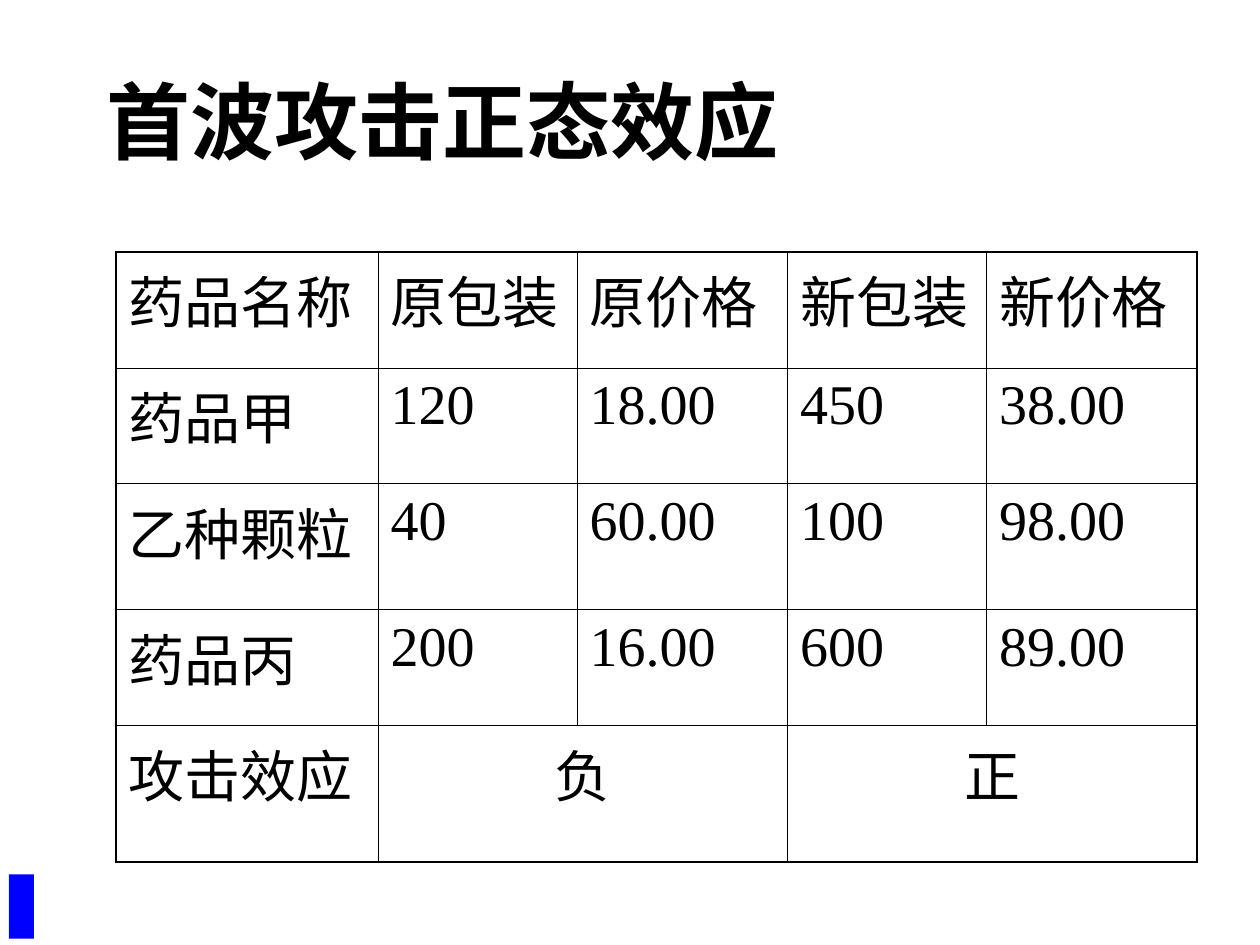
from dataclasses import dataclass

from lxml import etree
from pptx import Presentation
from pptx import util as u
from pptx.dml import color
from pptx.enum import shapes, text
from pptx.oxml import ns


@dataclass(frozen=True)
class Theme:
    ink: str = "000000"
    mark: str = "0000FF"
    font: str = "Times New Roman"
    title: float = 48
    body: float = 32
    thin: float = 0.45
    thick: float = 1.08


THEME = Theme()
COLS = [2.08, 1.58, 1.67, 1.58, 1.67]
ROWS = [0.92, 0.92, 1, 0.92, 1.08]
DATA = [
    ["药品名称", "原包装", "原价格", "新包装", "新价格"],
    ["药品甲", "120", "18.00", "450", "38.00"],
    ["乙种颗粒", "40", "60.00", "100", "98.00"],
    ["药品丙", "200", "16.00", "600", "89.00"],
    ["攻击效应", "负", "", "正", ""],
]


def write(frame, words, size=THEME.body, bold=False, align=text.PP_ALIGN.LEFT):
    para = frame.paragraphs[0]
    para.alignment = align
    run = para.add_run()
    run.text = words
    run.font.name = THEME.font
    run.font.size = u.Pt(size)
    run.font.bold = bold
    run.font.color.rgb = color.RGBColor.from_string(THEME.ink)


def add_title(slide, box, words):
    frame = slide.shapes.add_textbox(*map(u.Inches, box)).text_frame
    frame.word_wrap = True
    frame.vertical_anchor = text.MSO_ANCHOR.MIDDLE
    write(frame, words, size=THEME.title, bold=True)


def rule_cell(cell, outer):
    props = cell._tc.get_or_add_tcPr()
    for side, edge in outer.items():
        width = THEME.thick if edge else THEME.thin
        line = etree.SubElement(props, ns.qn(f"a:ln{side}"), w=str(u.Pt(width)))
        fill = etree.SubElement(line, ns.qn("a:solidFill"))
        etree.SubElement(fill, ns.qn("a:srgbClr"), val=THEME.ink)
    cell.fill.background()


def add_grid(slide, box):
    count, width = len(ROWS), len(COLS)
    table = slide.shapes.add_table(count, width, *map(u.Inches, box)).table
    table.first_row = table.horz_banding = False
    for col, size in zip(table.columns, COLS):
        col.width = u.Inches(size)
    for row, size in zip(table.rows, ROWS):
        row.height = u.Inches(size)
    last = count - 1
    for left in (1, 3):
        table.cell(last, left).merge(table.cell(last, left + 1))
    for r, line in enumerate(DATA):
        for c, words in enumerate(line):
            cell = table.cell(r, c)
            span = cell.span_width if cell.is_merge_origin else 1
            rule_cell(cell, {"L": c == 0, "R": c + span == width,
                             "T": r == 0, "B": r == last})
            if not cell.is_spanned:
                align = text.PP_ALIGN.CENTER if span > 1 else text.PP_ALIGN.LEFT
                write(cell.text_frame, words, align=align)


def add_mark(slide, box):
    mark = slide.shapes.add_shape(shapes.MSO_SHAPE.RECTANGLE, *map(u.Inches, box))
    mark.shadow.inherit = False
    mark.fill.solid()
    mark.fill.fore_color.rgb = color.RGBColor.from_string(THEME.mark)
    mark.line.fill.background()


def main():
    deck = Presentation()
    deck.slide_width, deck.slide_height = u.Inches(10), u.Inches(7.5)
    slide = deck.slides.add_slide(deck.slide_layouts[6])
    add_title(slide, (0.75, 0.33, 8.5, 1.25), "首波攻击正态效应")
    add_grid(slide, (0.92, 2, sum(COLS), sum(ROWS)))
    add_mark(slide, (0.07, 6.94, 0.2, 0.51))
    deck.save("out.pptx")


if __name__ == "__main__":
    main()
